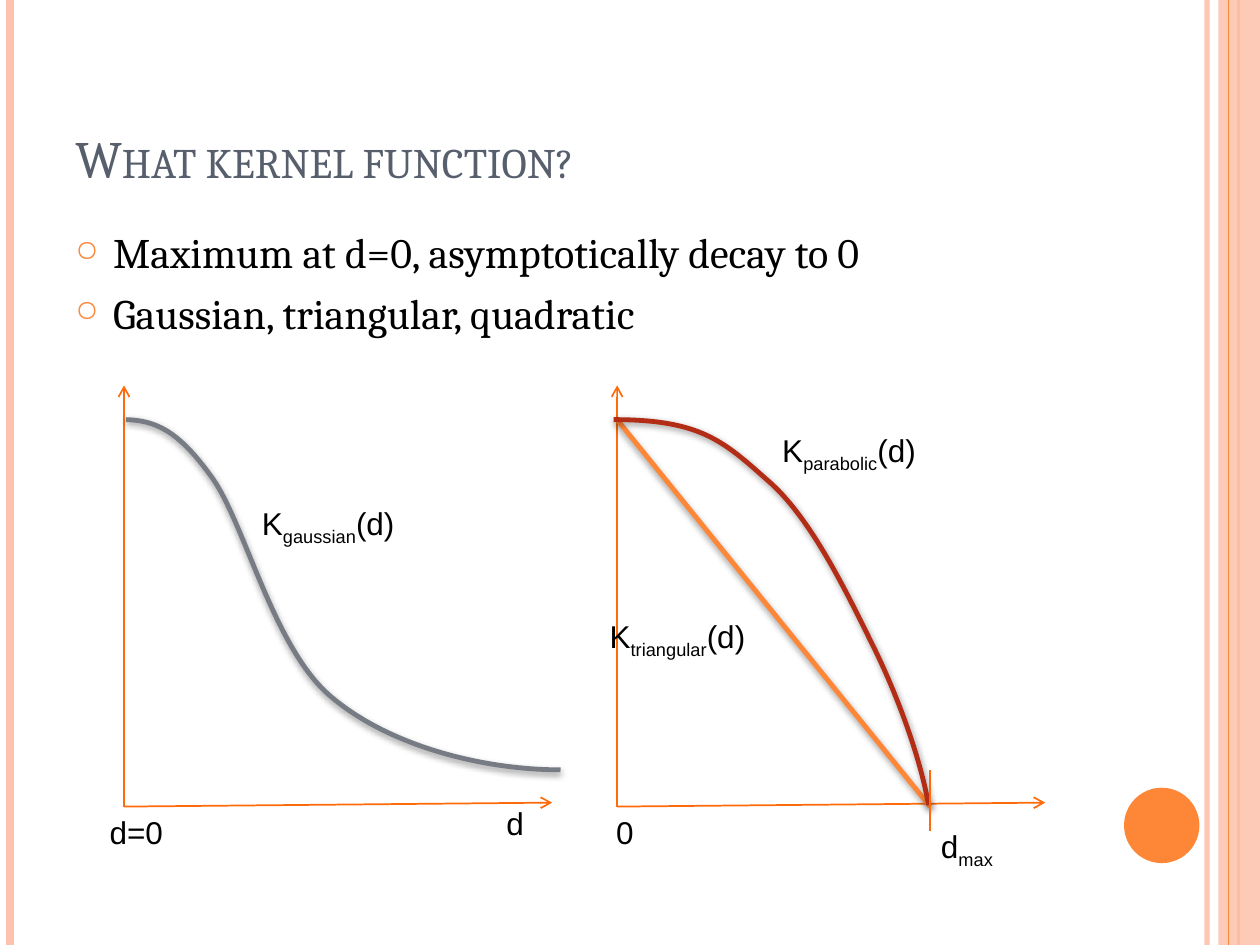
from pptx import Presentation
from pptx.dml.color import RGBColor
from pptx.enum.shapes import MSO_CONNECTOR as CONN, MSO_SHAPE as SHAPE
from pptx.enum.text import MSO_ANCHOR as ANCHOR
from pptx.oxml import parse_xml
from pptx.oxml.ns import nsdecls
from pptx.oxml.xmlchemy import OxmlElement as Element
from pptx.util import Cm, Pt

THEME = {
    "pink": "FEC3AE", "orange": "FE8637", "axis": "FF6B0A", "slate": "777C84",
    "red": "B32C16", "title": "575F6D", "text": "000000",
    "serif": "Cambria", "sans": "Arial",
    "title_size": 30, "body_size": 24, "label_size": 18,
    "axis_width": 1, "curve_width": 2.75,
}

# Content; all lengths in centimetres
TITLE = "What kernel function?"
BULLETS = ["Maximum at d=0, asymptotically decay to 0",
           "Gaussian, triangular, quadratic"]

# Side lines: x, colour, width in points, opacity
SIDE_LINES = [(24.33, "pink", 3, 93), (0.2, "pink", 4.5, 100),
              (24.97, "orange", 1.5, 100), (24.77, "orange", 0.75, 100)]

# Labels: base text, subscript, ending, left, top, width
LABELS = [
    ("d", "", "", 9.96, 16.08, 1.07),
    ("d=0", "", "", 1.96, 16.26, 2.84),
    ("K", "gaussian", "(d)", 5.03, 10.03, 3.78),
    ("0", "", "", 12.17, 16.26, 2.84),
    ("K", "triangular", "(d)", 12.04, 12.32, 4.7),
    ("K", "parabolic", "(d)", 15.52, 8.56, 4.7),
    ("d", "max", "", 18.72, 16.54, 1.8),
]

# Axes share one size, from two origins
ORIGINS, AXIS_Y, AXIS_TOP, AXIS_LENGTH, AXIS_RISE = (2.5, 12.44), 16.26, 7.77, 8.63, 0.08
PEAK, D_MAX = 8.46, 18.75

# Curves: start point, then three Bezier points per segment
GAUSSIAN = [(2.54, PEAK),
            (3.1, 8.48), (3.56, 8.64), (4.24, 9.58),
            (4.93, 10.49), (5.49, 13.06), (6.68, 14.05),
            (7.85, 15.04), (9.73, 15.52), (11.3, 15.52)]
PARABOLIC = [(12.37, PEAK),
             (14.12, PEAK), (14.58, 8.89), (15.47, 9.68),
             (16.36, 10.44), (17.09, 11.99), (17.63, 13.08),
             (18.16, 14.17), (18.57, 15.37), (18.72, 16.23)]


def color(name):
    return RGBColor.from_string(THEME[name])


def set_alpha(node, percent):
    alpha = Element("a:alpha")
    alpha.set("val", str(percent * 1000))
    node.xpath(".//a:srgbClr")[0].append(alpha)


def set_effects(sp, shadow=False):
    inner = ('<a:outerShdw blurRad="50800" dist="20000" dir="5400000" rotWithShape="0">'
             '<a:srgbClr val="000000"><a:alpha val="42000"/></a:srgbClr>'
             '</a:outerShdw>') if shadow else ""
    sp._element.spPr.append(parse_xml(
        f'<a:effectLst {nsdecls("a")}>{inner}</a:effectLst>'))


def add_line(start, end, name, width, arrow=False, shadow=False):
    sp = s.shapes.add_connector(CONN.STRAIGHT, *map(Cm, start + end))
    sp.line.color.rgb, sp.line.width = color(name), Pt(width)
    if arrow:
        tail = Element("a:tailEnd")
        tail.set("type", "arrow")
        sp.line._get_or_add_ln().append(tail)
    set_effects(sp, shadow)
    return sp


def add_block(kind, left, top, width, height, name):
    sp = s.shapes.add_shape(kind, *map(Cm, (left, top, width, height)))
    sp.shadow.inherit = False
    sp.fill.solid()
    sp.fill.fore_color.rgb = color(name)
    sp.line.fill.background()
    return sp


def add_curve(points, name):
    start, *rest = [(Cm(x), Cm(y)) for x, y in points]
    builder = s.shapes.build_freeform(*start, scale=1.0)
    builder.add_line_segments(rest, close=False)
    sp = builder.convert_to_shape()
    sp.fill.background()
    sp.line.color.rgb, sp.line.width = color(name), Pt(THEME["curve_width"])
    # Turn every three straight steps into one Bezier segment
    steps = sp._element.xpath(".//a:lnTo")
    for i in range(0, len(steps), 3):
        bezier = Element("a:cubicBezTo")
        steps[i].addprevious(bezier)
        for step in steps[i:i + 3]:
            bezier.append(step[0])
            step.getparent().remove(step)
    set_effects(sp, shadow=True)


def add_text(left, top, width, height, anchor=ANCHOR.TOP):
    tf = s.shapes.add_textbox(*map(Cm, (left, top, width, height))).text_frame
    tf.word_wrap, tf.vertical_anchor = True, anchor
    return tf


def add_run(p, text, face, size, name):
    r = p.add_run()
    r.text = text
    values = {"name": THEME[face], "size": Pt(THEME[size])}
    for key, value in values.items():
        setattr(r.font, key, value)
    r.font.color.rgb = color(name)
    return r


def add_bullet(p):
    pPr = p._p.get_or_add_pPr()
    for key, value in {"marL": Cm(0.76), "indent": -Cm(0.76)}.items():
        pPr.set(key, str(value))
    for xml in (f'<a:buClr {nsdecls("a")}><a:srgbClr val="{THEME["orange"]}"/></a:buClr>',
                f'<a:buSzPct {nsdecls("a")} val="70000"/>',
                f'<a:buChar {nsdecls("a")} char="○"/>'):
        pPr.append(parse_xml(xml))


prs = Presentation()
prs.slide_width, prs.slide_height = Cm(25.4), Cm(19.05)
s = prs.slides.add_slide(prs.slide_layouts[6])

# Side decoration
for i, (x, name, width, opacity) in enumerate(SIDE_LINES):
    if i == 3:
        band = add_block(SHAPE.RECTANGLE, 24.56, 0, 0.84, 19.05, "pink")
        set_alpha(band._element.spPr, 87)
    side = add_line((x, 0), (x, 19.05), name, width)
    if opacity < 100:
        set_alpha(side._element.spPr, opacity)
add_block(SHAPE.OVAL, 22.66, 15.88, 1.52, 1.52, "orange")

# Title and bullets
tf = add_text(1.27, 0.76, 20.75, 3.18, ANCHOR.BOTTOM)
r = add_run(tf.paragraphs[0], TITLE, "serif", "title_size", "title")
r._r.get_or_add_rPr().set("cap", "small")

tf = add_text(1.27, 4.45, 20.75, 13.54)
for i, text in enumerate(BULLETS):
    p = tf.add_paragraph() if i else tf.paragraphs[0]
    add_bullet(p)
    if i:
        p.space_before = Pt(6)
    add_run(p, text, "serif", "body_size", "text")

# Axes
for x in ORIGINS:
    for end in ((x + AXIS_LENGTH, AXIS_Y - AXIS_RISE), (x, AXIS_TOP)):
        add_line((x, AXIS_Y), end, "axis", THEME["axis_width"], arrow=True)

# Kernels
add_curve(GAUSSIAN, "slate")
add_line((ORIGINS[1], PEAK), (D_MAX, AXIS_Y), "orange", THEME["curve_width"], shadow=True)
add_curve(PARABOLIC, "red")
add_line((D_MAX, 16.76), (D_MAX, 15.52), "axis", THEME["axis_width"])

# Labels
for base, sub, ending, left, top, width in LABELS:
    p = add_text(left, top, width, 1.02).paragraphs[0]
    for text in filter(None, (base, sub, ending)):
        r = add_run(p, text, "sans", "label_size", "text")
        if text == sub:
            r._r.get_or_add_rPr().set("baseline", "-25000")

prs.save("out.pptx")
